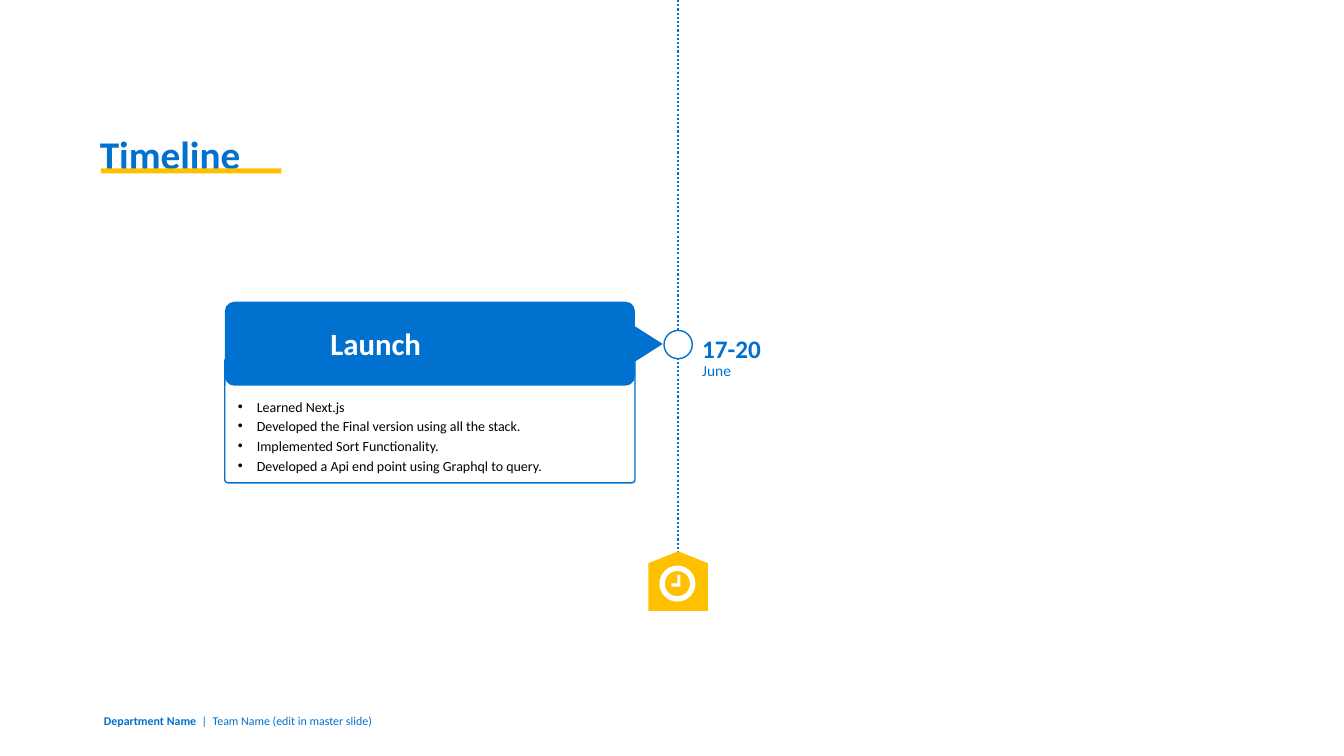
from lxml import etree
from pptx import Presentation
from pptx.dml.color import RGBColor
from pptx.enum import dml, shapes, text
from pptx.oxml.ns import qn
from pptx.util import Pt

BLUE = RGBColor(0x00, 0x71, 0xCE)
GOLD = RGBColor(0xFF, 0xC0, 0x00)
WHITE = RGBColor(0xFF, 0xFF, 0xFF)
INK = RGBColor(0x00, 0x03, 0x06)
FONT = "Calibri"
SHAPE = shapes.MSO_SHAPE
AXIS_X = 484.4
TASKS = [
    "Learned Next.js",
    "Developed the Final version using all the stack.",
    "Implemented Sort Functionality.",
    "Developed a Api end point using Graphql to query.",
]


def style_run(r, size, color, bold=False):
    r.font.name = FONT
    r.font.size = Pt(size)
    r.font.bold = bold
    r.font.color.rgb = color


def paint(sp, fill, line=None):
    sp.shadow.inherit = False
    sp.fill.solid()
    sp.fill.fore_color.rgb = fill
    if line is None:
        sp.line.fill.background()
    else:
        sp.line.color.rgb = line
        sp.line.width = Pt(1)


def add_block(s, kind, box, fill, line=None, adj=None, rotation=0):
    sp = s.shapes.add_shape(kind, *map(Pt, box))
    paint(sp, fill, line)
    if adj is not None:
        sp.adjustments[0] = adj
    sp.rotation = rotation
    return sp


def add_label(s, box, words, size, color, bold=False, wrap=False):
    tf = s.shapes.add_textbox(*map(Pt, box)).text_frame
    tf.margin_left = tf.margin_right = tf.margin_top = tf.margin_bottom = 0
    tf.word_wrap = wrap
    tf.vertical_anchor = text.MSO_ANCHOR.MIDDLE
    tf.text = words
    for p in tf.paragraphs:
        for r in p.runs:
            style_run(r, size, color, bold)
    return tf


def add_bullets(s, box, items):
    tf = add_label(s, box, "\n".join(items), 10, INK, wrap=True)
    tf.vertical_anchor = text.MSO_ANCHOR.TOP
    for i, p in enumerate(tf.paragraphs):
        pPr = p._p.get_or_add_pPr()
        pPr.set("marL", str(Pt(13.5)))
        pPr.set("indent", str(-Pt(13.5)))
        etree.SubElement(pPr, qn("a:buFont")).set("typeface", "Arial")
        etree.SubElement(pPr, qn("a:buChar")).set("char", "•")
        p.space_before = Pt(2 if i else 0)


def add_axis(s):
    line = s.shapes.add_connector(shapes.MSO_CONNECTOR.STRAIGHT,
                                  Pt(AXIS_X), Pt(0), Pt(AXIS_X), Pt(396.7))
    line.line.color.rgb = BLUE
    line.line.width = Pt(1.5)
    line.line.dash_style = dml.MSO_LINE.ROUND_DOT
    etree.SubElement(line._element.spPr, qn("a:effectLst"))


def add_clock(s):
    add_block(s, SHAPE.FLOWCHART_OFFPAGE_CONNECTOR,
              (AXIS_X - 21.3, 393.8, 42.6, 42.6), GOLD, rotation=180)
    add_block(s, SHAPE.DONUT, (471, 404, 25.8, 25.8), WHITE, adj=0.15)
    hands = [(479.6, 416.7), (483.8, 416.7), (483.8, 410.4),
             (486, 410.4), (486, 419), (479.6, 419)]
    points = [(Pt(x), Pt(y)) for x, y in hands]
    fb = s.shapes.build_freeform(*points[0])
    fb.add_line_segments(points[1:], close=True)
    paint(fb.convert_to_shape(), WHITE)


def add_title(s):
    sp = s.shapes.title
    sp.left, sp.top, sp.width, sp.height = map(Pt, (64.1, 92, 299.5, 36))
    tf = sp.text_frame
    tf.margin_top = tf.margin_bottom = 0
    tf.vertical_anchor = text.MSO_ANCHOR.MIDDLE
    tf.text = "Timeline"
    p = tf.paragraphs[0]
    p.alignment = text.PP_ALIGN.LEFT
    style_run(p.runs[0], 28, BLUE, True)


def add_footer(s):
    tf = add_label(s, (74.2, 507, 236, 17), "Department Name  ", 8.5, BLUE, True, wrap=True)
    p = tf.paragraphs[0]
    p.line_spacing = 0.9
    r = p.add_run()
    r.text = "|  Team Name (edit in master slide)"
    style_run(r, 8.5, BLUE)


def add_launch_card(s):
    left, width = 160.6, 293
    add_block(s, SHAPE.ROUNDED_RECTANGLE, (left, 255.6, width, 89.3), WHITE, BLUE, 0.025)
    add_block(s, SHAPE.ROUNDED_RECTANGLE, (left, 215.5, width, 60), BLUE, adj=0.113)
    add_block(s, SHAPE.ISOSCELES_TRIANGLE, (440.6, 231.3, 36.7, 28.8), BLUE, rotation=90)
    add_label(s, (236, 231.5, 65.5, 27), "Launch", 22, WHITE, True)
    add_bullets(s, (170, 284.4, 263.5, 55.5), TASKS)


def main():
    prs = Presentation()
    prs.slide_width, prs.slide_height = Pt(960), Pt(540)
    s = prs.slides.add_slide(prs.slide_layouts[5])
    add_footer(s)
    add_axis(s)
    add_clock(s)
    add_block(s, SHAPE.RECTANGLE, (72, 120.3, 129, 3.6), GOLD)
    add_title(s)
    add_label(s, (501.6, 238, 42.5, 21.6), "17-20", 18, BLUE, True)
    add_block(s, SHAPE.OVAL, (AXIS_X - 10.1, 236, 20.2, 20.2), WHITE, BLUE)
    add_launch_card(s)
    add_label(s, (501.6, 258, 21, 13.7), "June", 11, BLUE)
    prs.save("out.pptx")


if __name__ == "__main__":
    main()
